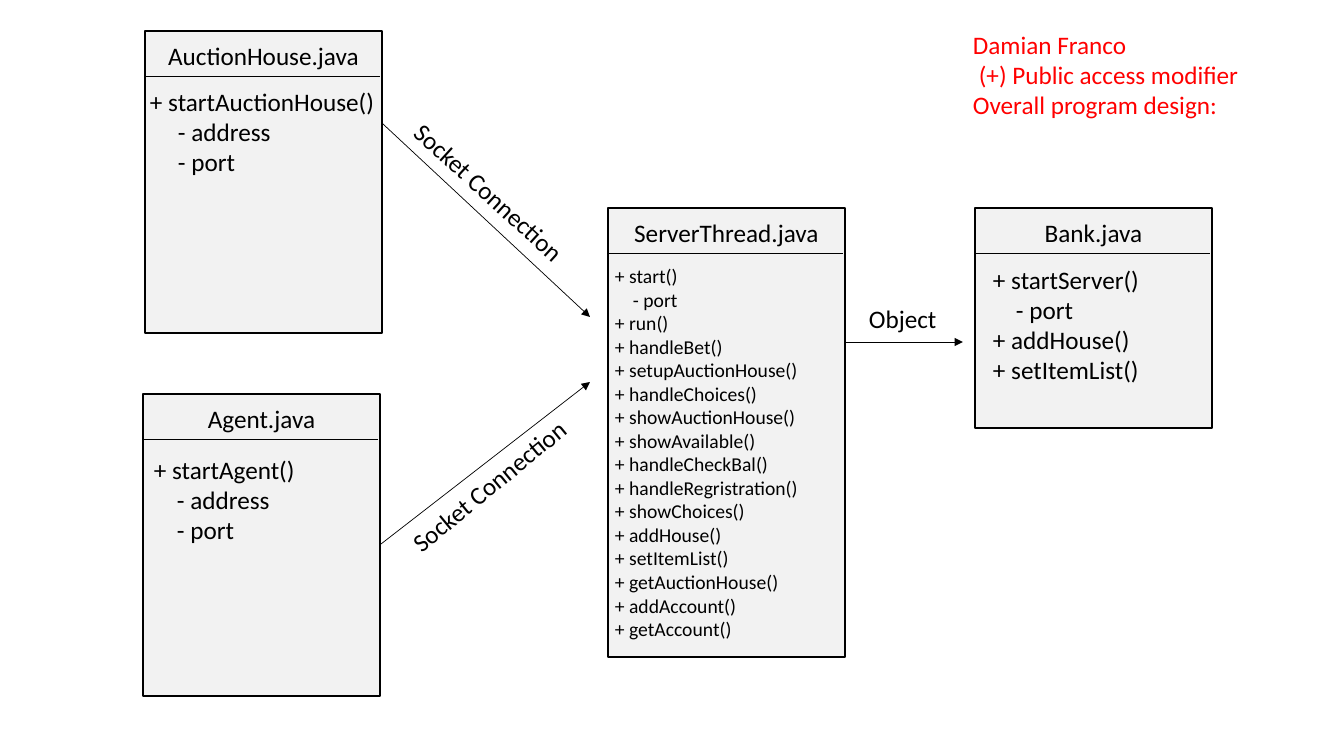
from lxml.etree import SubElement
from pptx import Presentation
from pptx.dml.color import RGBColor
from pptx.enum.shapes import MSO_CONNECTOR, MSO_SHAPE
from pptx.enum.text import PP_ALIGN
from pptx.oxml.ns import qn
from pptx.util import Pt

PX = 9071  # EMU per pixel at 100.8 pixels to the inch
BLACK, RED, PANEL = "000000", "FF0000", "F2F2F2"
HEADER_HEIGHT = 45

deck = Presentation()
deck.slide_width, deck.slide_height = 1344 * PX, 756 * PX
slide = deck.slides.add_slide(deck.slide_layouts[6])


def add_text(left, top, width, lines, size=18, color=BLACK, indent=0,
             align=PP_ALIGN.LEFT, rotation=0):
    """Write one paragraph per line; lines opening with '-' or '(' are indented."""
    line_height = round(size * 1.7)
    box = slide.shapes.add_textbox(left * PX, top * PX, width * PX,
                                   (line_height * len(lines) + 10) * PX)
    box.rotation = rotation
    frame = box.text_frame
    frame.word_wrap = True
    frame.text = "\n".join(lines)
    for paragraph in frame.paragraphs:
        paragraph.alignment = align
        paragraph.font.name = "Calibri"
        paragraph.font.size = Pt(size)
        paragraph.font.color.rgb = RGBColor.from_string(color)
        if paragraph.text[0] in "-(":
            paragraph._p.get_or_add_pPr().set("marL", str(indent * PX))


def add_line(x1, y1, x2, y2, arrow=False):
    """Draw a thin black line, with an arrowhead at its end if asked."""
    connector = slide.shapes.add_connector(
        MSO_CONNECTOR.STRAIGHT, x1 * PX, y1 * PX, x2 * PX, y2 * PX)
    connector.line.width = Pt(0.5)
    connector.line.color.rgb = RGBColor.from_string(BLACK)
    if arrow:
        SubElement(connector.line._get_or_add_ln(), qn("a:tailEnd"), type="triangle")
    SubElement(connector._element.spPr, qn("a:effectLst"))


# Class name, panel left, top, height, members left, top, text size, indent, members
classes = [
    ("Bank.java", 975, 208, 220, 983, 259, 18, 23,
     ["+ startServer()", "- port", "+ addHouse()", "+ setItemList()"]),
    ("AuctionHouse.java", 145, 31, 302, 140, 81, 18, 28,
     ["+ startAuctionHouse()", "- address", "- port"]),
    ("Agent.java", 143, 394, 302, 144, 449, 18, 23,
     ["+ startAgent()", "- address", "- port"]),
    ("ServerThread.java", 608, 208, 449, 605, 259, 14, 18,
     ["+ start()", "- port", "+ run()", "+ handleBet()", "+ setupAuctionHouse()",
      "+ handleChoices()", "+ showAuctionHouse()", "+ showAvailable()",
      "+ handleCheckBal()", "+ handleRegristration()", "+ showChoices()",
      "+ addHouse()", "+ setItemList()", "+ getAuctionHouse()", "+ addAccount()",
      "+ getAccount()"]),
]
PANEL_WIDTH = 237
for (class_name, left, top, height, members_left, members_top,
     size, indent, members) in classes:
    panel = slide.shapes.add_shape(MSO_SHAPE.RECTANGLE, left * PX, top * PX,
                                   PANEL_WIDTH * PX, height * PX)
    panel.shadow.inherit = False
    panel.fill.solid()
    panel.fill.fore_color.rgb = RGBColor.from_string(PANEL)
    panel.line.color.rgb = RGBColor.from_string(BLACK)
    panel.line.width = Pt(1)
    divider_y = top + HEADER_HEIGHT
    add_line(left + 1, divider_y, left + PANEL_WIDTH - 2, divider_y)
    add_text(left, top + 4, PANEL_WIDTH, [class_name], align=PP_ALIGN.CENTER)
    add_text(members_left, members_top, 255, members, size, indent=indent)

add_text(963, 24, 304, ["Damian Franco", "(+) Public access modifier",
                        "Overall program design:"], color=RED, indent=6)

# Arrow ends, then label left, top, rotation and wording
connections = [
    ((383, 124, 590, 317), 378, 187, 42.4, "Socket Connection"),
    ((381, 544, 590, 382), 379, 451, 320.6, "Socket Connection"),
    ((846, 342, 963, 342), 859, 298, 0, "Object"),
]
for ends, left, top, rotation, label in connections:
    add_line(*ends, arrow=True)
    add_text(left, top, 255, [label], rotation=rotation)

deck.save("out.pptx")
